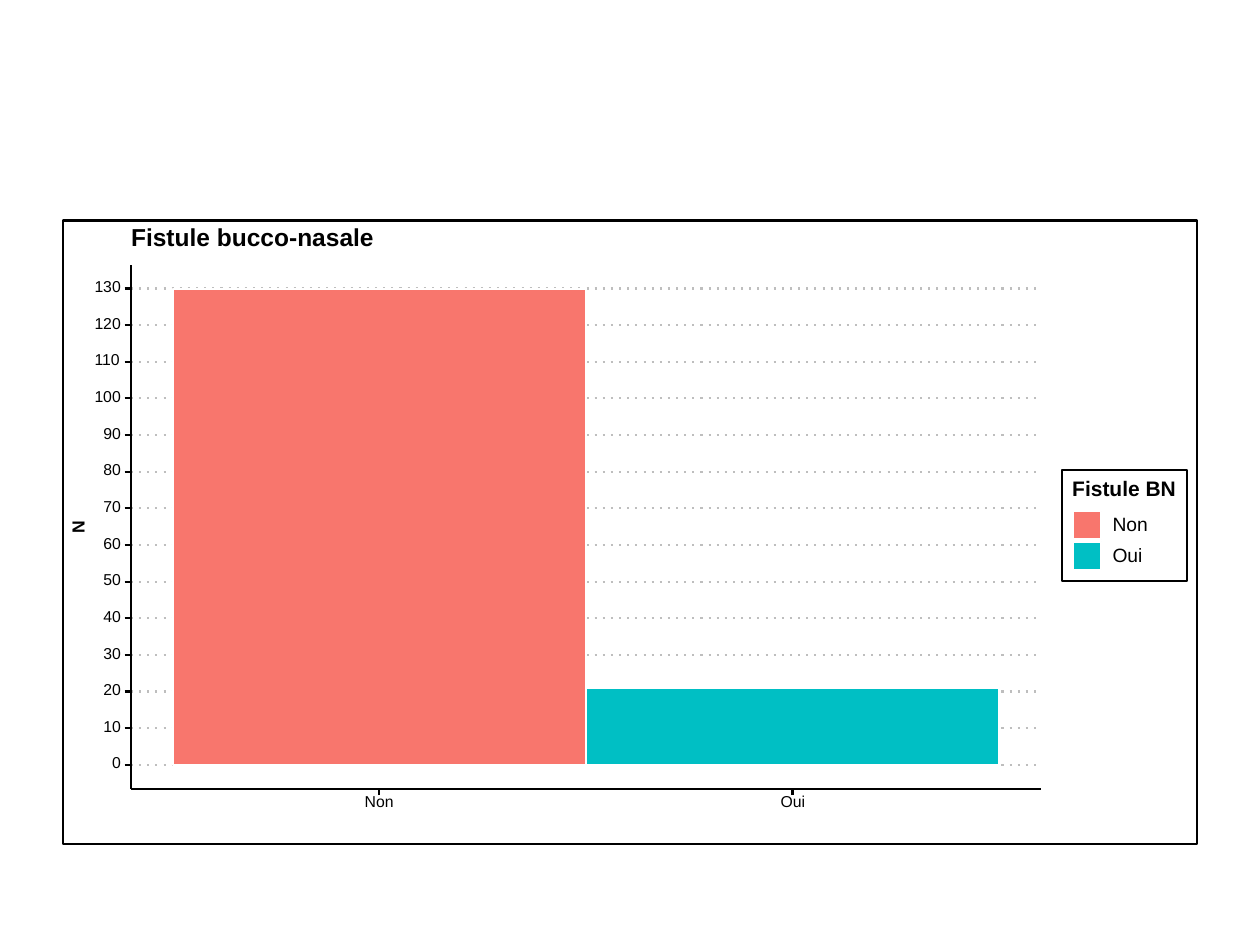
from pptx import Presentation
from pptx.dml.color import RGBColor
from pptx.enum.shapes import MSO_CONNECTOR, MSO_SHAPE
from pptx.enum.text import MSO_ANCHOR, MSO_AUTO_SIZE, PP_ALIGN
from pptx.oxml.ns import qn
from pptx.util import Inches, Pt
from lxml.etree import SubElement

COLORS = {"black": "000000", "white": "FFFFFF", "grid": "BEBEBE",
          "Non": "F8766D", "Oui": "00BFC4"}
COUNTS = {"Non": 130, "Oui": 21}

# Plot geometry in inches
AXIS_LEFT, AXIS_RIGHT, AXIS_TOP, AXIS_BOTTOM = 1.04, 8.26, 2.1, 6.26
ZERO_Y, UNIT = 6.07, 3.78 / 130
BAR_LEFT, BAR_WIDTH = 1.37, 3.28
TICK = 0.05

prs = Presentation()
prs.slide_width, prs.slide_height = Inches(10), Inches(7.5)
slide = prs.slides.add_slide(prs.slide_layouts[5])
shapes = slide.shapes


def rule(x1, y1, x2, y2, color="black", width=1.16, dash=None):
    line = shapes.add_connector(MSO_CONNECTOR.STRAIGHT, Inches(x1), Inches(y1),
                                Inches(x2), Inches(y2))
    line.line.color.rgb = RGBColor.from_string(COLORS[color])
    line.line.width = Pt(width)
    if dash:
        outline = line._element.spPr.find(qn("a:ln"))
        SubElement(outline, qn("a:prstDash")).set("val", dash)
    SubElement(line._element.spPr, qn("a:effectLst"))


def box(x, y, w, h, fill=None, line=None, width=1.07, text=None, size=9,
        bold=False, holder=None):
    """Draw a rectangle, or a label when text is given."""
    place = [Inches(v) for v in (x, y, w, h)]
    if text is None:
        rect = shapes.add_shape(MSO_SHAPE.RECTANGLE, *place)
        rect.shadow.inherit = False
        rect.fill.solid()
        rect.fill.fore_color.rgb = RGBColor.from_string(COLORS[fill])
        if line:
            rect.line.color.rgb = RGBColor.from_string(COLORS[line])
            rect.line.width = Pt(width)
        else:
            rect.line.fill.background()
        return rect
    label = holder or shapes.add_textbox(*place)
    label.left, label.top, label.width, label.height = place
    frame = label.text_frame
    frame.text = text
    frame.word_wrap = False
    frame.auto_size = MSO_AUTO_SIZE.NONE
    frame.vertical_anchor = MSO_ANCHOR.MIDDLE
    frame.margin_left = frame.margin_right = 0
    frame.margin_top = frame.margin_bottom = 0
    paragraph = frame.paragraphs[0]
    paragraph.alignment = PP_ALIGN.LEFT
    paragraph.line_spacing = Pt(size)
    font = paragraph.runs[0].font
    font.name, font.size, font.bold = "Arial", Pt(size), bold
    font.color.rgb = RGBColor.from_string(COLORS["black"])
    return label


# Frame and grid
box(0.5, 1.75, 9, 4.95, "white", "black", 1.16)
ticks = [(value, ZERO_Y - value * UNIT) for value in range(0, 131, 10)]
for value, y in ticks:
    rule(AXIS_LEFT, y, AXIS_RIGHT, y, "grid", dash="dot")

# Bars
for i, (answer, count) in enumerate(COUNTS.items()):
    height = count * UNIT
    box(BAR_LEFT + i * BAR_WIDTH, ZERO_Y - height, BAR_WIDTH, height,
        answer, "white")

# Vertical axis
rule(AXIS_LEFT, AXIS_BOTTOM, AXIS_LEFT, AXIS_TOP, width=1.07)
for value, y in ticks:
    label_width = 0.07 * len(str(value))
    box(0.96 - label_width, y - 0.05, label_width, 0.09, text=str(value))
    rule(AXIS_LEFT - TICK, y, AXIS_LEFT, y)
axis_name = box(0.58, 4.13, 0.1, 0.1, text="N", size=10, bold=True)
axis_name.rotation = 270

# Horizontal axis
rule(AXIS_LEFT, AXIS_BOTTOM, AXIS_RIGHT, AXIS_BOTTOM, width=1.07)
for i, (answer, width) in enumerate(zip(COUNTS, (0.23, 0.19))):
    center = BAR_LEFT + (i + 0.5) * BAR_WIDTH
    rule(center, AXIS_BOTTOM + TICK, center, AXIS_BOTTOM)
    box(center - width / 2, 6.33, width, 0.09, text=answer)

# Legend
box(8.43, 3.73, 0.99, 0.88, "white", "black", 1.16)
box(8.51, 3.83, 0.82, 0.12, text="Fistule BN", size=12, bold=True)
for i, (answer, width) in enumerate(zip(COUNTS, (0.28, 0.24))):
    y = 4.05 + i * 0.24
    box(8.51, y, 0.24, 0.24, "white")
    box(8.52, y + 0.01, 0.22, 0.22, answer, "white")
    box(8.83, y + 0.07, width, 0.11, text=answer, size=11)

# Title, brought in front of the frame and wide enough for one line
title = box(AXIS_LEFT, 1.83, 2.2, 0.14, text="Fistule bucco-nasale", size=14,
            bold=True, holder=shapes.title)
title._element.getparent().append(title._element)

prs.save("out.pptx")
